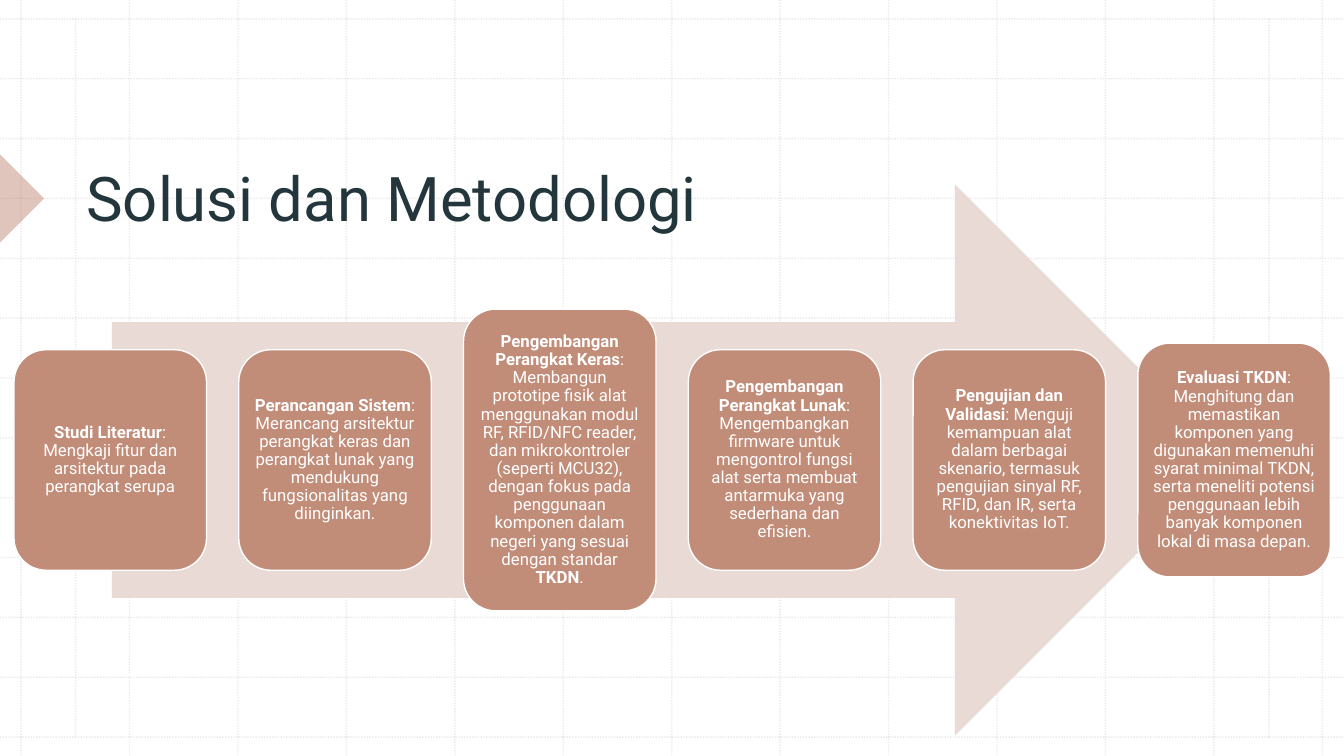
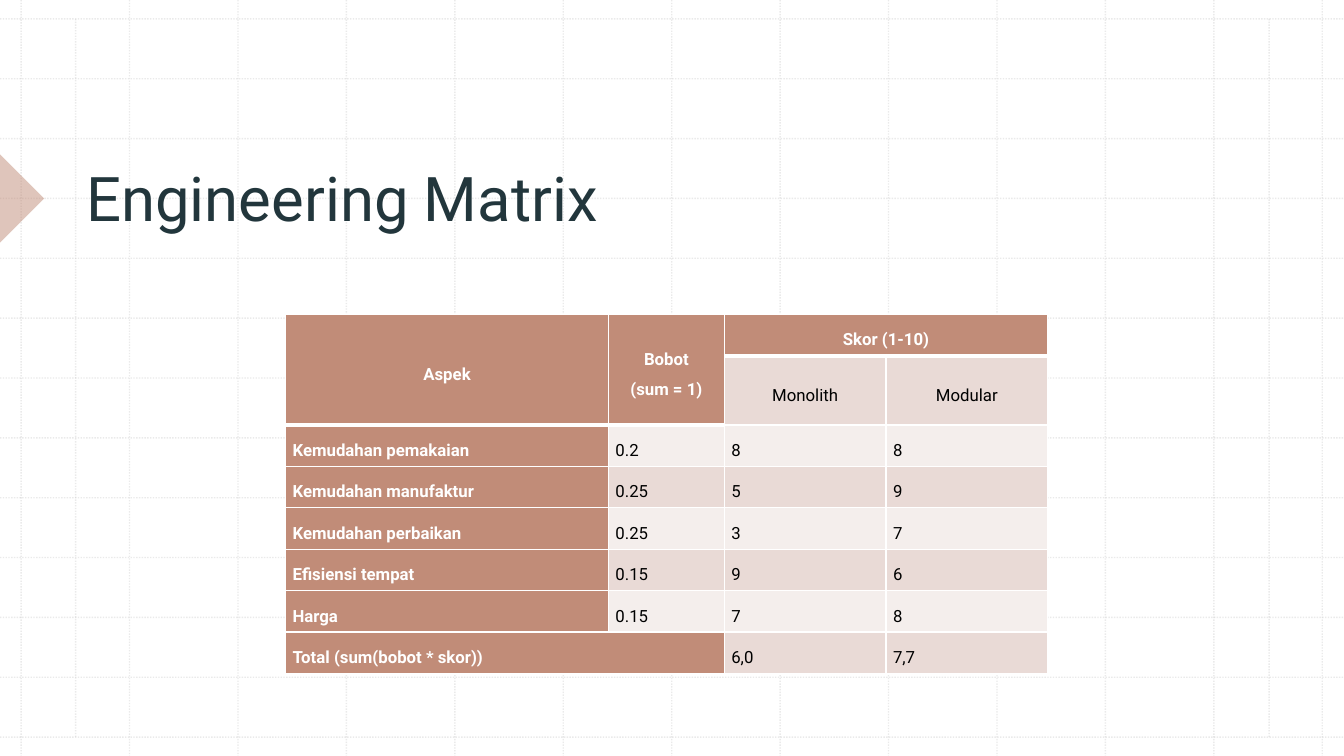
from lxml.etree import SubElement
from pptx import Presentation
from pptx.dml.color import RGBColor
from pptx.enum.dml import MSO_LINE
from pptx.enum.shapes import MSO_CONNECTOR, MSO_SHAPE
from pptx.enum.text import MSO_ANCHOR, MSO_AUTO_SIZE, PP_ALIGN
from pptx.oxml.ns import qn
from pptx.util import Pt

WIDE, HIGH = 960, 540
INK, CLAY, ROSE, PALE = "22363C", "C18C78", "E9DAD6", "F4EEEC"
GREY, WHITE, BLACK = "BCBCBC", "FFFFFF", "000000"

STEPS = [
    (157.5, ["Studi Literatur", ": Mengkaji fitur dan arsitektur pada perangkat serupa"]),
    (157.5, ["Perancangan Sistem", ": Merancang arsitektur perangkat keras dan perangkat lunak "
             "yang mendukung fungsionalitas yang diinginkan."]),
    (215.5, ["Pengembangan Perangkat Keras", ": Membangun prototipe fisik alat menggunakan modul "
             "RF, RFID/NFC reader, dan mikrokontroler (seperti MCU32), dengan fokus pada penggunaan "
             "komponen dalam negeri yang sesuai dengan standar ", "TKDN", "."]),
    (157.5, ["Pengembangan Perangkat Lunak", ": Mengembangkan firmware untuk mengontrol fungsi "
             "alat serta membuat antarmuka yang sederhana dan efisien."]),
    (157.5, ["Pengujian dan Validasi", ": Menguji kemampuan alat dalam berbagai skenario, termasuk "
             "pengujian sinyal RF, RFID, dan IR, serta konektivitas IoT."]),
    (167, ["Evaluasi TKDN", ": Menghitung dan memastikan komponen yang digunakan memenuhi syarat "
           "minimal TKDN, serta meneliti potensi penggunaan lebih banyak komponen lokal di masa "
           "depan."]),
]

SCORES = [
    ["Aspek", "Bobot\n(sum = 1)", "Skor (1-10)", ""],
    ["", "", "Monolith", "Modular"],
    ["Kemudahan pemakaian", "0.2", "8", "8"],
    ["Kemudahan manufaktur", "0.25", "5", "9"],
    ["Kemudahan perbaikan", "0.25", "3", "7"],
    ["Efisiensi tempat", "0.15", "9", "6"],
    ["Harga", "0.15", "7", "8"],
    ["Total (sum(bobot * skor))", "", "6,0", "7,7"],
]
SPANS = [(0, 0, 1, 0), (0, 1, 1, 1), (0, 2, 0, 3), (7, 0, 7, 1)]


def tint(text):
    """Turn a hex string into a colour."""
    return RGBColor.from_string(text)


def fade(node, share):
    """Make the solid colour inside a node see-through."""
    tone = next(node.iter(qn("a:srgbClr")))
    SubElement(tone, qn("a:alpha"), val=str(share * 1000))


class Deck:
    """Hold the style and the current slide."""

    def __init__(self):
        """Start an empty wide deck."""
        self.show = Presentation()
        self.show.slide_width, self.show.slide_height = Pt(WIDE), Pt(HIGH)
        self.slide = None

    def page(self, title):
        """Add a slide with grid, marker and title."""
        self.slide = self.show.slides.add_slide(self.show.slide_layouts[5])
        for i in range(13):
            x, y = 15.1 + 77.45 * i, 13.5 + 42.75 * i
            self.line(x, 0, x, HIGH)
            self.line(0, y, WIDE, y)
        for x in (54, 906.5):
            self.line(x, 13.5, x, 526.5)
        mark = self.shape(MSO_SHAPE.RIGHT_TRIANGLE, -22.3, 119.5, 44.6, 44.6, CLAY)
        mark.rotation = 225
        fade(mark.element.spPr, 50)
        head = self.slide.shapes.title
        head.element.getparent().append(head.element)
        head.left, head.top, head.width, head.height = Pt(54.5), Pt(56.5), Pt(813), Pt(114)
        frame = head.text_frame
        frame.text = title
        frame.auto_size = MSO_AUTO_SIZE.NONE
        frame.vertical_anchor = MSO_ANCHOR.BOTTOM
        frame.paragraphs[0].alignment = PP_ALIGN.LEFT
        self.font(frame.paragraphs[0].runs[0], INK, False, 44)

    def font(self, run, color, bold=False, size=12):
        """Format one run."""
        run.font.name, run.font.size, run.font.bold = "Roboto", Pt(size), bold
        run.font.color.rgb = tint(color)

    def line(self, x, y, right, low):
        """Draw a faint dotted grid line."""
        rule = self.slide.shapes.add_connector(
            MSO_CONNECTOR.STRAIGHT, Pt(x), Pt(y), Pt(right), Pt(low))
        rule.line.color.rgb = tint(GREY)
        rule.line.width = Pt(1)
        rule.line.dash_style = MSO_LINE.ROUND_DOT
        fade(rule.element.spPr, 30)
        SubElement(rule.element.spPr, qn("a:effectLst"))

    def shape(self, kind, x, y, wide, high, fill, edge=None):
        """Draw a flat preset shape."""
        form = self.slide.shapes.add_shape(kind, Pt(x), Pt(y), Pt(wide), Pt(high))
        form.shadow.inherit = False
        form.fill.solid()
        form.fill.fore_color.rgb = tint(fill)
        if edge:
            form.line.color.rgb = tint(edge)
            form.line.width = Pt(1)
        else:
            form.line.fill.background()
        return form

    def card(self, x, mid, high, parts):
        """Draw a step card whose parts alternate bold and plain."""
        box = self.shape(MSO_SHAPE.ROUNDED_RECTANGLE, x, mid - high / 2, 137.5, high, CLAY, WHITE)
        frame = box.text_frame
        frame.word_wrap = True
        frame.vertical_anchor = MSO_ANCHOR.MIDDLE
        frame.margin_left = frame.margin_right = Pt(3.6)
        frame.margin_top = frame.margin_bottom = Pt(3.6)
        para = frame.paragraphs[0]
        para.alignment, para.line_spacing = PP_ALIGN.CENTER, 0.9
        for i, part in enumerate(parts):
            run = para.add_run()
            run.text = part
            self.font(run, WHITE, i % 2 == 0)

    def cell(self, cell, text, fill, mid, base):
        """Fill in one table cell with white borders."""
        strong = fill == CLAY
        cell.margin_left = cell.margin_right = Pt(5)
        cell.margin_top = cell.margin_bottom = Pt(3.6)
        cell.vertical_anchor = MSO_ANCHOR.MIDDLE
        props = cell._tc.get_or_add_tcPr()
        for side in "LRTB":
            width = base if side == "B" else 0.96
            edge = SubElement(props, qn("a:ln" + side), w=str(Pt(width)))
            SubElement(SubElement(edge, qn("a:solidFill")), qn("a:srgbClr"), val=WHITE)
        cell.fill.solid()
        cell.fill.fore_color.rgb = tint(fill)
        if not text:
            return
        cell.text_frame.text = text
        for para in cell.text_frame.paragraphs:
            para.alignment = PP_ALIGN.CENTER if mid else PP_ALIGN.LEFT
            para.line_spacing = 1.5
            self.font(para.runs[0], WHITE if strong else BLACK, strong)

    def table(self, x, y, cols, highs, rows, spans):
        """Draw a table with two header rows and a header column."""
        grid = self.slide.shapes.add_table(
            len(rows), len(cols), Pt(x), Pt(y), Pt(sum(cols)), Pt(sum(highs))).table
        grid.first_row = grid.horz_banding = False
        for col, wide in zip(grid.columns, cols):
            col.width = Pt(wide)
        for row, high in zip(grid.rows, highs):
            row.height = Pt(high)
        for top, left, low, right in spans:
            grid.cell(top, left).merge(grid.cell(low, right))
        for r, row in enumerate(rows):
            for c, text in enumerate(row):
                head = r == 0 or (r == 1 and c < 2)
                total = r == len(rows) - 1 and c == 1
                band = ROSE if r % 2 else PALE
                fill = CLAY if head or c == 0 or total else band
                self.cell(grid.cell(r, c), text, fill, r < 2, 3 if head else 0.96)


def main():
    """Build both slides."""
    deck = Deck()
    deck.page("Solusi dan Metodologi")
    deck.shape(MSO_SHAPE.RIGHT_ARROW, 80, 131.6, 799, 394, ROSE)
    for i, (high, parts) in enumerate(STEPS):
        deck.card(10 + 160.55 * i, 328.6, high, parts)
    deck.page("Engineering Matrix")
    deck.table(204, 224.5, [230.6, 82.8, 115.5, 115.5], [29.6, 48.4] + [29.6] * 6, SCORES, SPANS)
    deck.show.save("out.pptx")


if __name__ == "__main__":
    main()
